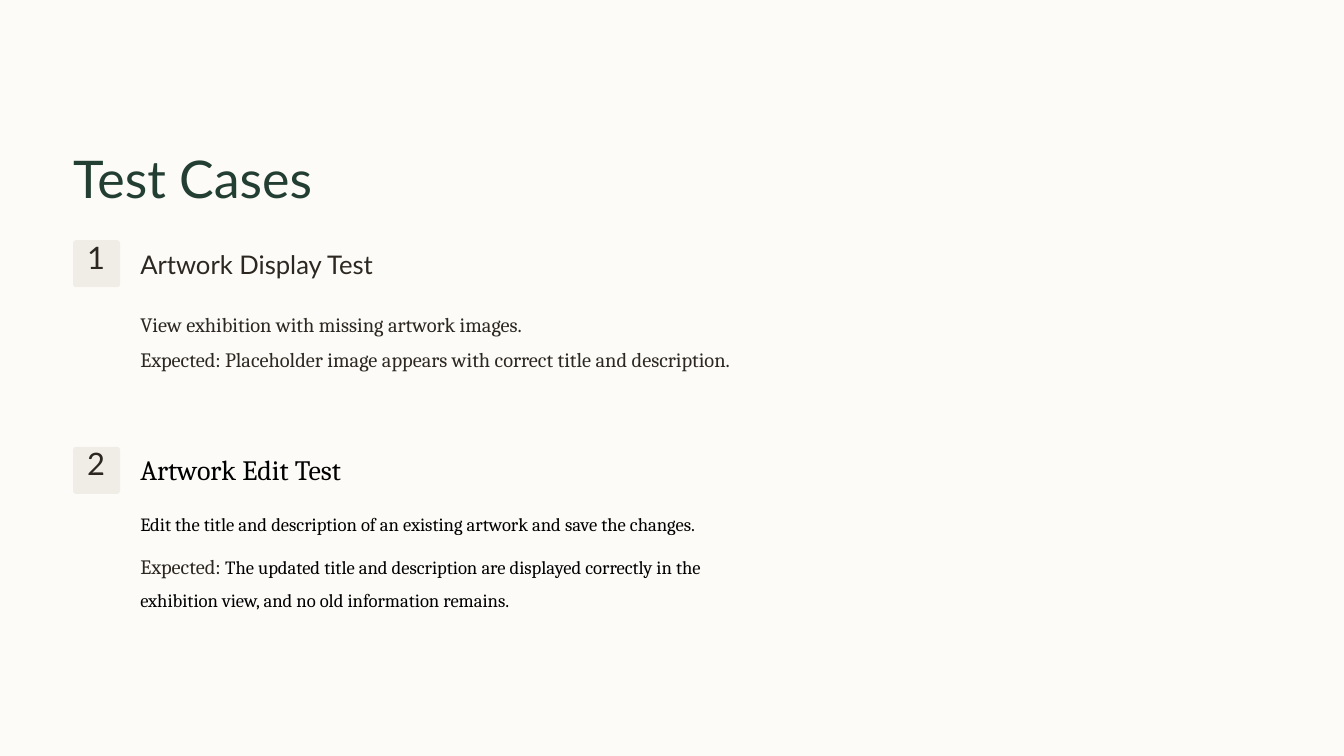
from pptx import Presentation
from pptx.dml.color import RGBColor
from pptx.enum import shapes, text
from pptx.util import Inches, Pt

COLORS = {"page": "FCFBF8", "green": "233E32", "brown": "2C2821",
          "badge": "F0EDE6", "black": "000000"}
HEADING_FONT, BODY_FONT = "Lato", "Cambria"

TITLE = "Test Cases"
# Text runs are (wording, size, colour); offsets run down from the badge top
CASES = [
    {"heading": ("Artwork Display Test", 22, "brown"), "font": HEADING_FONT,
     "step": ("View exhibition with missing artwork images.", 17.5, "brown"),
     "expected": [("Expected: Placeholder image appears with correct title and description.",
                   17.5, "brown")],
     "offsets": (0.75, 1.17)},
    {"heading": ("Artwork Edit Test", 24, "black"), "font": BODY_FONT,
     "step": ("Edit the title and description of an existing artwork and save the changes.",
              16, "black"),
     "expected": [("Expected: ", 17.5, "brown"),
                  ("The updated title and description are displayed correctly in the "
                   "exhibition view, and no old information remains.", 16, "black")],
     "offsets": (0.66, 1.17)},
]

LEFT, TEXT_LEFT, TEXT_WIDTH = 0.87, 1.67, 7.46
FIRST_TOP, CASE_PITCH, BADGE = 2.86, 2.46, 0.56


def rgb(name):
    return RGBColor.from_string(COLORS[name])


def put_text(slide, runs, box, *, font, spacing, align=text.PP_ALIGN.LEFT,
             wrap=False, holder=None):
    """Write runs into a new text box, or into the holder given."""
    area = [Inches(v) for v in box]
    if holder is None:
        holder = slide.shapes.add_textbox(*area)
    else:
        holder.left, holder.top, holder.width, holder.height = area
    frame = holder.text_frame
    frame.margin_left = frame.margin_top = frame.margin_right = frame.margin_bottom = 0
    frame.word_wrap = wrap
    frame.auto_size = text.MSO_AUTO_SIZE.NONE
    frame.vertical_anchor = text.MSO_ANCHOR.TOP
    line = frame.paragraphs[0]
    line.alignment, line.line_spacing = align, Pt(spacing)
    for wording, size, color in runs:
        run = line.add_run()
        run.text = wording
        run.font.name, run.font.size = font, Pt(size)
        run.font.color.rgb = rgb(color)


def add_badge(slide, number, top):
    badge = slide.shapes.add_shape(shapes.MSO_SHAPE.ROUNDED_RECTANGLE,
                                   *[Inches(v) for v in (LEFT, top, BADGE, BADGE)])
    badge.adjustments[0] = 0.067
    badge.shadow.inherit = False
    badge.fill.solid()
    badge.fill.fore_color.rgb = rgb("badge")
    badge.line.fill.background()
    put_text(slide, [(str(number), 26.5, "brown")], (LEFT + 0.09, top + 0.05, 0.37, 0.47),
             font=HEADING_FONT, spacing=26.5, align=text.PP_ALIGN.CENTER)


def add_case(slide, number, case):
    top = FIRST_TOP + (number - 1) * CASE_PITCH
    step_top, expected_top = (top + offset for offset in case["offsets"])
    add_badge(slide, number, top)
    put_text(slide, [case["heading"]], (TEXT_LEFT, top + 0.09, 3.1, 0.39),
             font=case["font"], spacing=27.5)
    put_text(slide, [case["step"]], (TEXT_LEFT, step_top, TEXT_WIDTH, 0.4),
             font=BODY_FONT, spacing=28.5)
    put_text(slide, case["expected"], (TEXT_LEFT, expected_top, TEXT_WIDTH, 0.79),
             font=BODY_FONT, spacing=28.5, wrap=True)


def main():
    deck = Presentation()
    deck.slide_width, deck.slide_height = Inches(16), Inches(9)
    slide = deck.slides.add_slide(deck.slide_layouts[5])

    # Page colour and title
    slide.background.fill.solid()
    slide.background.fill.fore_color.rgb = rgb("page")
    put_text(slide, [(TITLE, 44.5, "green")], (LEFT, 1.72, 6.2, 0.78),
             font=HEADING_FONT, spacing=55.5, holder=slide.shapes.title)

    # Numbered test cases
    for number, case in enumerate(CASES, 1):
        add_case(slide, number, case)

    deck.save("out.pptx")


if __name__ == "__main__":
    main()
